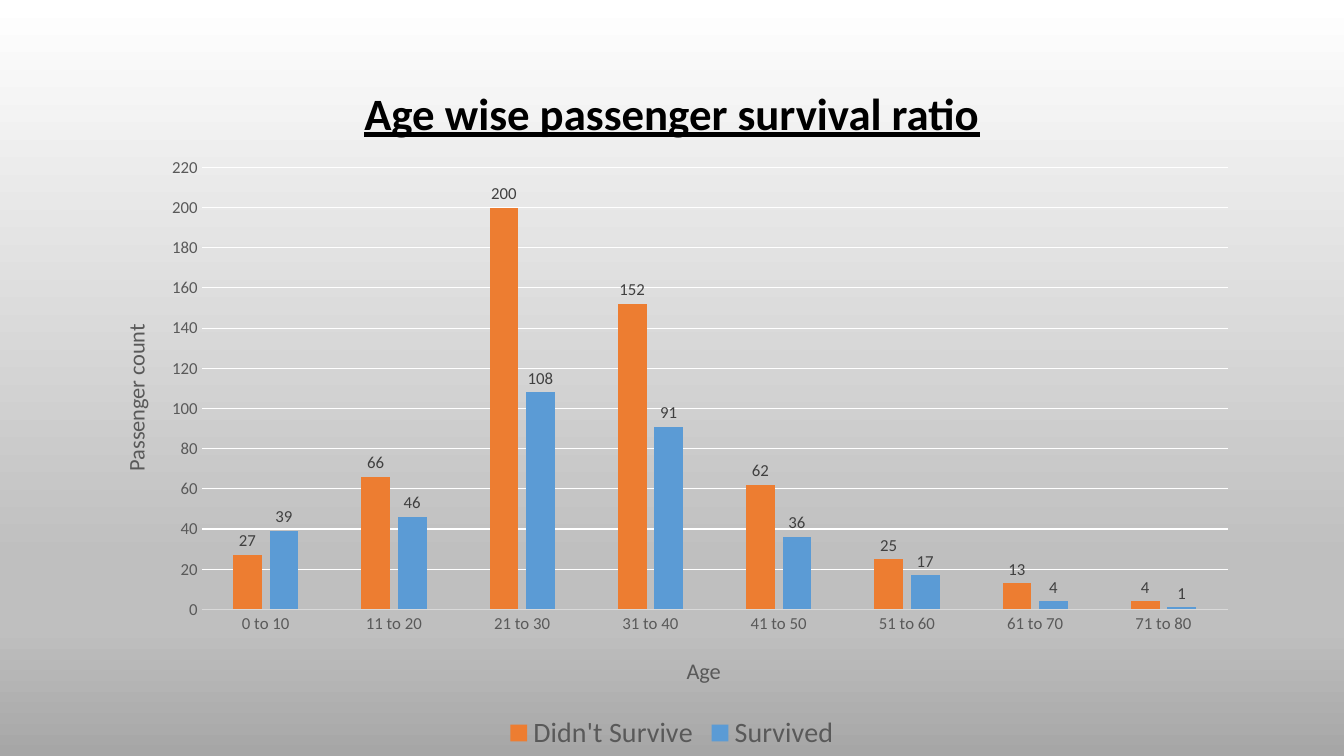
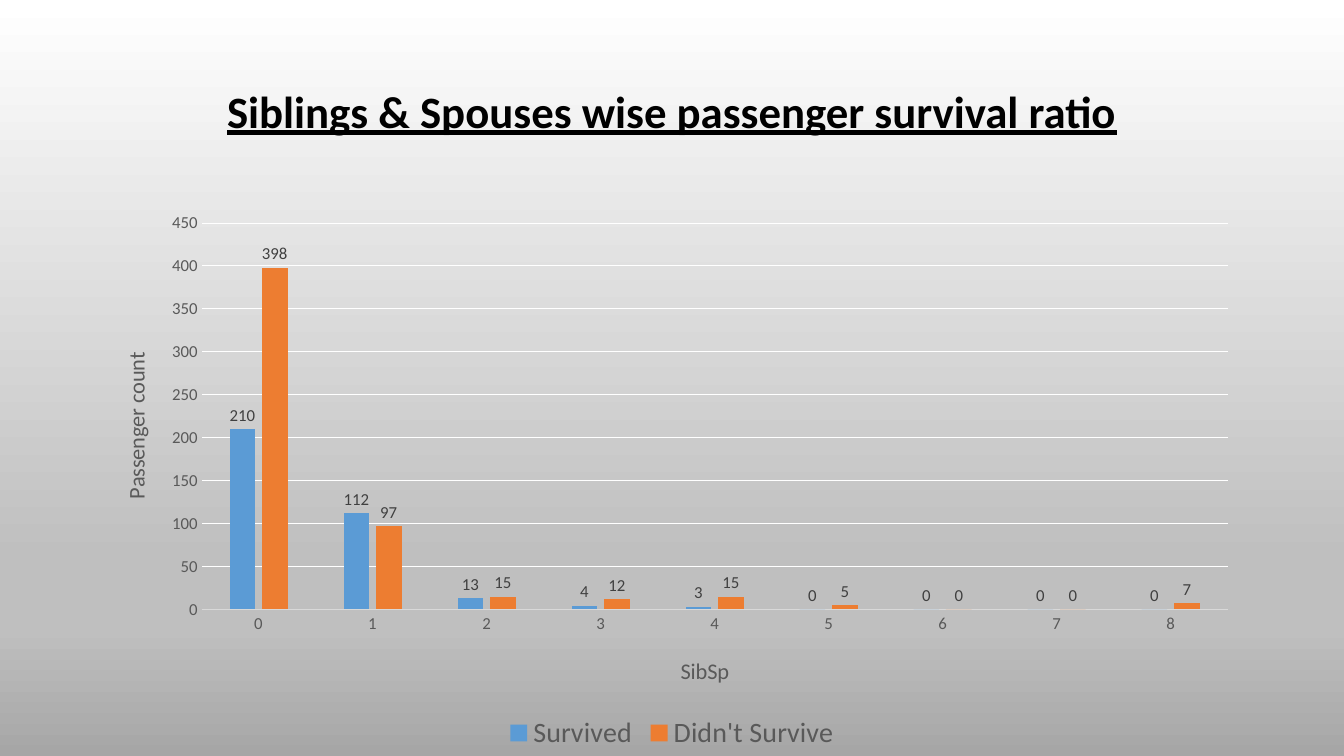
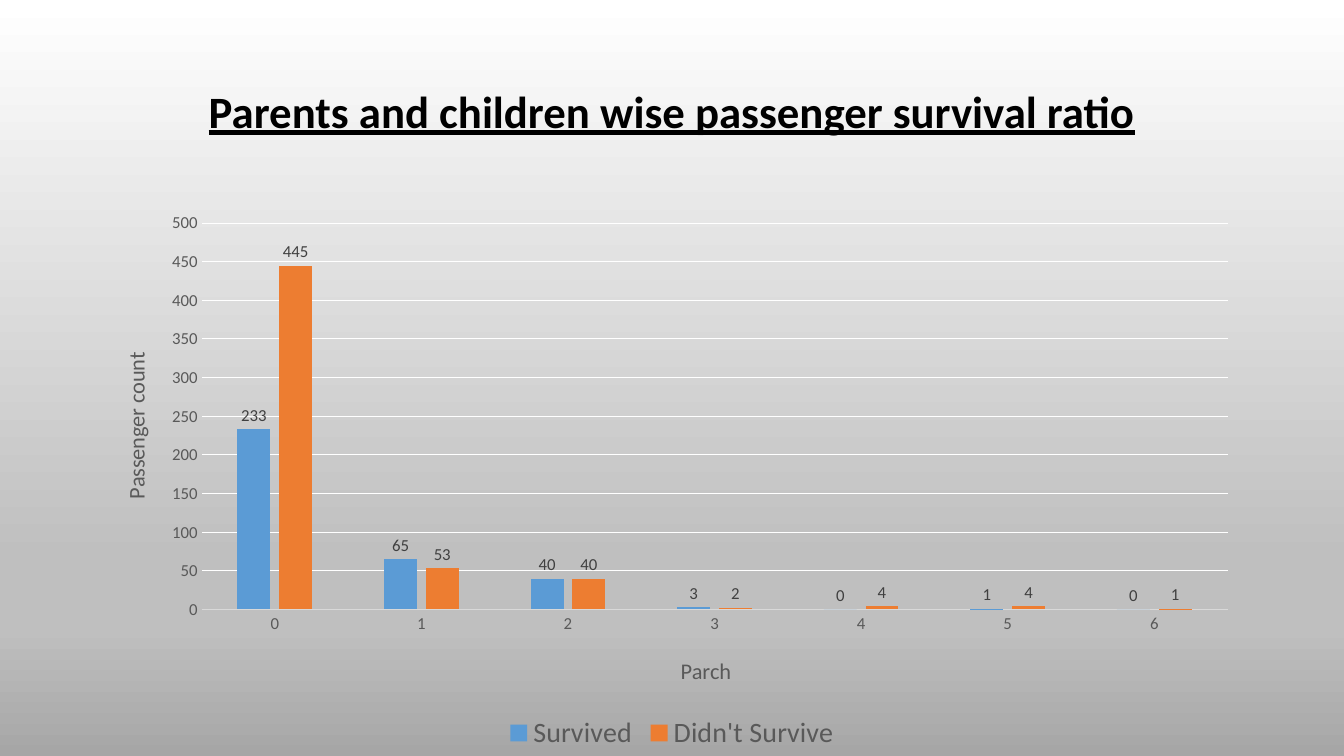
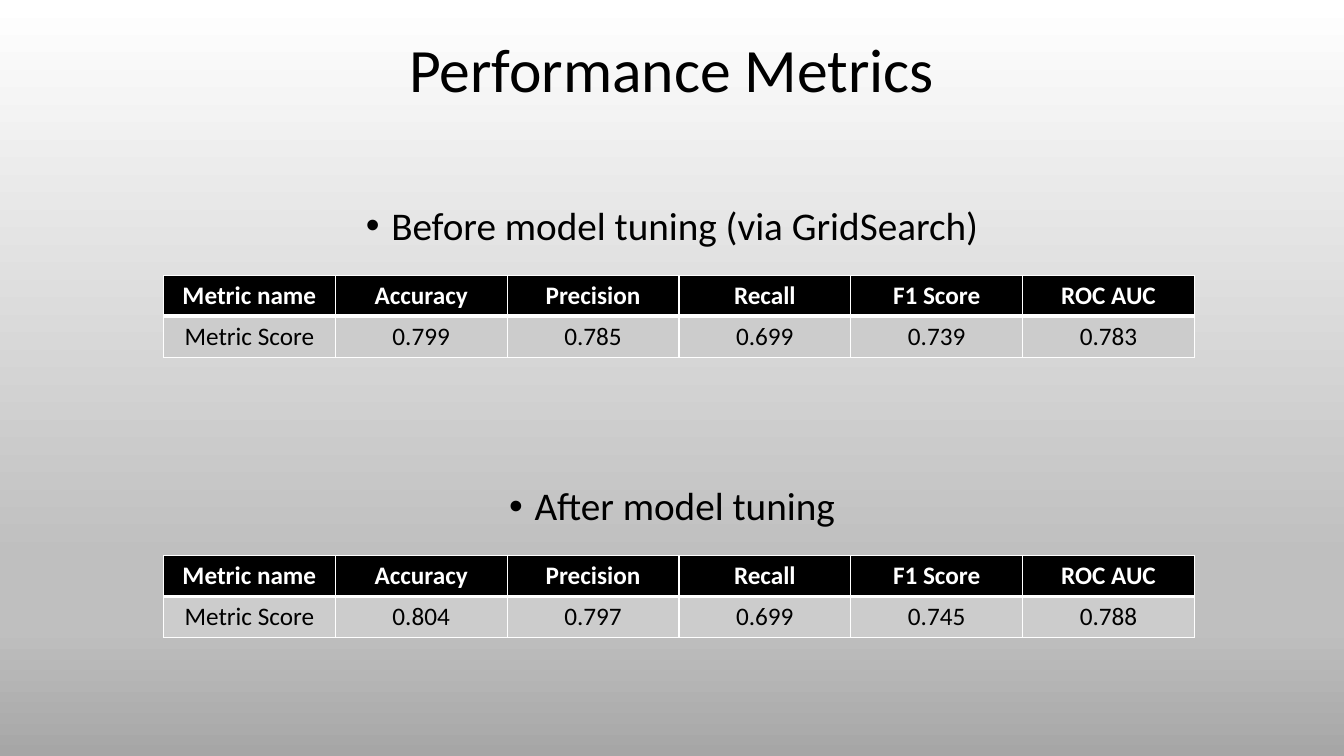
"""Build four slides on passenger survival ratios and model metrics."""
from lxml import etree
from pptx import Presentation
from pptx import util as u
from pptx.chart import data as cd
from pptx.dml.color import RGBColor
from pptx.enum import chart as ch, text
from pptx.oxml import ns, parse_xml

COLORS = {
    "black": "000000", "white": "FFFFFF", "cell": "CCCCCC",
    "axis": "595959", "label": "404040", "axis_line": "D9D9D9",
    "Survived": "5B9BD5", "Didn't Survive": "ED7D31",
}
BACKGROUND = [(0, "FFFFFF"), (74, "BFBFBF"), (83, "BFBFBF"), (100, "A6A6A6")]
FONT = "Calibri"
LEFT, WIDTH, BOTTOM = 2.33, 29.21, 19.05
PLOT_LEFT, PLOT_RIGHT, PLOT_BOTTOM = 5.08, 30.94, 15.36
HEADERS = ["Metric name", "Accuracy", "Precision", "Recall", "F1 Score", "ROC AUC"]
CHARTS = [
    {"title": "Age wise passenger survival ratio", "title_top": 1.07,
     "top": 3.68, "axis": "Age", "axis_left": 17.2, "max": 220, "step": 20,
     "cats": [f"{max(n * 10 + 1, 1) if n else 0} to {n * 10 + 10}" for n in range(8)],
     "series": {"Didn't Survive": [27, 66, 200, 152, 62, 25, 13, 4],
                "Survived": [39, 46, 108, 91, 36, 17, 4, 1]}},
    {"title": "Siblings & Spouses wise passenger survival ratio", "title_top": 1.02,
     "top": 5.08, "axis": "SibSp", "axis_left": 17.05, "max": 450, "step": 50,
     "cats": [str(n) for n in range(9)],
     "series": {"Survived": [210, 112, 13, 4, 3, 0, 0, 0, 0],
                "Didn't Survive": [398, 97, 15, 12, 15, 5, 0, 0, 7]}},
    {"title": "Parents and children wise passenger survival ratio", "title_top": 1.02,
     "top": 5.08, "axis": "Parch", "axis_left": 17.05, "max": 500, "step": 50,
     "cats": [str(n) for n in range(7)],
     "series": {"Survived": [233, 65, 40, 3, 0, 1, 0],
                "Didn't Survive": [445, 53, 40, 2, 4, 4, 1]}},
]


def rgb(name):
    """Return the named colour."""
    return RGBColor.from_string(COLORS[name])


def apply(obj, **fmt):
    """Set attributes of an object from format values."""
    for name, value in fmt.items():
        setattr(obj, name, value)


def set_font(font, size, color="black", **fmt):
    """Format a font in the shared typeface."""
    apply(font, name=FONT, size=u.Pt(size), **fmt)
    font.color.rgb = rgb(color)


def set_background(master):
    """Give the master its vertical grey gradient."""
    fill = master.background.fill
    fill.gradient()
    fill.gradient_angle = 270
    stops = master.element.find(".//" + ns.qn("p:bgPr")).find(".//" + ns.qn("a:gsLst"))
    for old in list(stops):
        stops.remove(old)
    for pos, color in BACKGROUND:
        gs = etree.SubElement(stops, ns.qn("a:gs"), pos=str(pos * 1000))
        etree.SubElement(gs, ns.qn("a:srgbClr"), val=color)


def add_slide(prs, title, top, size, **fmt):
    """Add a title-only slide with a centred title."""
    s = prs.slides.add_slide(prs.slide_layouts[5])
    sp = s.shapes.title
    apply(sp, left=u.Cm(LEFT), top=u.Cm(top), width=u.Cm(WIDTH), height=u.Cm(3.68))
    tf = sp.text_frame
    apply(tf, text=title, word_wrap=True, auto_size=text.MSO_AUTO_SIZE.NONE,
          vertical_anchor=text.MSO_ANCHOR.MIDDLE)
    p = tf.paragraphs[0]
    apply(p, alignment=text.PP_ALIGN.CENTER, line_spacing=0.9)
    set_font(p.runs[0].font, size, **fmt)
    return s


def set_layout(parent, index, **places):
    """Place a chart part by fractions of the chart area."""
    for old in parent.findall(ns.qn("c:layout")):
        parent.remove(old)
    inner = '<c:layoutTarget val="inner"/>' if "w" in places else ""
    modes = "".join(f'<c:{k}Mode val="edge"/>' for k in "xy")
    values = "".join(f'<c:{k} val="{v:.4f}"/>' for k, v in places.items())
    parent.insert(index, parse_xml(
        f'<c:layout {ns.nsdecls("c")}><c:manualLayout>{inner}{modes}{values}'
        "</c:manualLayout></c:layout>"))


def format_axis(axis, title, rotation, **place):
    """Format an axis and place its title."""
    apply(axis, major_tick_mark=ch.XL_TICK_MARK.NONE, minor_tick_mark=ch.XL_TICK_MARK.NONE)
    set_font(axis.tick_labels.font, 12, "axis")
    tf = axis.axis_title.text_frame
    tf.text = title
    set_font(tf.paragraphs[0].runs[0].font, 16, "axis", bold=False)
    el = axis.axis_title.element
    body = el.find(".//" + ns.qn("a:bodyPr"))
    body.set("rot", str(rotation * 60000))
    body.set("vert", "horz")
    set_layout(el, 1, **place)


def add_survival_chart(s, spec):
    """Add a clustered column chart of passenger counts."""
    top, height = spec["top"], BOTTOM - spec["top"]
    plot_top = top + 0.54
    data = cd.CategoryChartData()
    data.categories = spec["cats"]
    for name, values in spec["series"].items():
        data.add_series(name, values)
    chart = s.shapes.add_chart(ch.XL_CHART_TYPE.COLUMN_CLUSTERED, u.Cm(LEFT), u.Cm(top),
                               u.Cm(WIDTH), u.Cm(height), data).chart
    apply(chart, has_title=False, has_legend=True)
    set_font(chart.font, 10)
    apply(chart.legend, position=ch.XL_LEGEND_POSITION.BOTTOM, include_in_layout=False)
    set_font(chart.legend.font, 20, "axis")
    plot = chart.plots[0]
    apply(plot, gap_width=219, overlap=-27, vary_by_categories=False)
    for series in plot.series:
        series.format.fill.solid()
        series.format.fill.fore_color.rgb = rgb(series.name)
        labels = series.data_labels
        apply(labels, show_value=True, position=ch.XL_LABEL_POSITION.OUTSIDE_END)
        set_font(labels.font, 12, "label")

    def x(cm):
        return (cm - LEFT) / WIDTH

    def y(cm):
        return (cm - top) / height

    cat, val = chart.category_axis, chart.value_axis
    format_axis(cat, spec["axis"], 0, x=x(spec["axis_left"]), y=y(16.43))
    format_axis(val, "Passenger count", -90, x=x(2.95),
                y=y((plot_top + PLOT_BOTTOM) / 2 - 1.72))
    apply(val, minimum_scale=0, maximum_scale=spec["max"], major_unit=spec["step"],
          has_major_gridlines=True)
    val.format.line.fill.background()
    for line, color in ((cat.format.line, "axis_line"),
                        (val.major_gridlines.format.line, "white")):
        line.color.rgb = rgb(color)
        line.width = u.Pt(0.75)
    set_layout(chart.element.find(".//" + ns.qn("c:plotArea")), 0,
               x=x(PLOT_LEFT), y=y(plot_top), w=(PLOT_RIGHT - PLOT_LEFT) / WIDTH,
               h=(PLOT_BOTTOM - plot_top) / height)


def add_bullets(s, items, gap):
    """Add centred bullets separated by a gap in points."""
    tf = s.shapes.add_textbox(u.Cm(LEFT), u.Cm(5.08), u.Cm(WIDTH), u.Cm(13.97)).text_frame
    tf.word_wrap = True
    for i, item in enumerate(items):
        p = tf.paragraphs[0] if i == 0 else tf.add_paragraph()
        p.text = item
        apply(p, alignment=text.PP_ALIGN.CENTER, line_spacing=0.9,
              space_before=u.Pt(gap if i else 0))
        pr = p._p.get_or_add_pPr()
        pr.set("marL", str(u.Cm(0.64)))
        pr.set("indent", str(-u.Cm(0.64)))
        etree.SubElement(pr, ns.qn("a:buFont"), typeface="Arial")
        etree.SubElement(pr, ns.qn("a:buChar"), char="•")
        set_font(p.runs[0].font, 28)


def set_borders(cell, **widths):
    """Give a cell white borders of the given widths in points."""
    pr = cell._tc.get_or_add_tcPr()
    for i, side in enumerate("LRTB"):
        width = u.Pt(widths.get(side, 1))
        pr.insert(i, parse_xml(
            f'<a:ln{side} {ns.nsdecls("a")} w="{width}"><a:solidFill>'
            f'<a:srgbClr val="{COLORS["white"]}"/></a:solidFill></a:ln{side}>'))


def add_metric_table(s, top, scores):
    """Add a table with one header row and one score row."""
    rows = [HEADERS, ["Metric Score"] + scores]
    looks = [("black", "white", True, {"B": 3}), ("cell", "black", False, {"T": 3})]
    table = s.shapes.add_table(len(rows), len(HEADERS), u.Cm(4.12), u.Cm(top),
                               u.Cm(25.98), u.Cm(2.06)).table
    table.horz_banding = False
    for r, (values, (fill, color, bold, borders)) in enumerate(zip(rows, looks)):
        for c, value in enumerate(values):
            cell = table.cell(r, c)
            cell.text = value
            cell.fill.solid()
            cell.fill.fore_color.rgb = rgb(fill)
            set_borders(cell, **borders)
            p = cell.text_frame.paragraphs[0]
            p.alignment = text.PP_ALIGN.CENTER
            set_font(p.runs[0].font, 18, color, bold=bold)


def main():
    """Build and save the presentation."""
    prs = Presentation()
    apply(prs, slide_width=u.Cm(33.87), slide_height=u.Cm(BOTTOM))
    set_background(prs.slide_master)
    for spec in CHARTS:
        s = add_slide(prs, spec["title"], spec["title_top"], 32, bold=True, underline=True)
        add_survival_chart(s, spec)
    s = add_slide(prs, "Performance Metrics", 0, 44)
    add_bullets(s, ["Before model tuning (via GridSearch)", "After model tuning"], 170)
    add_metric_table(s, 6.94, ["0.799", "0.785", "0.699", "0.739", "0.783"])
    add_metric_table(s, 14, ["0.804", "0.797", "0.699", "0.745", "0.788"])
    prs.save("out.pptx")


if __name__ == "__main__":
    main()
